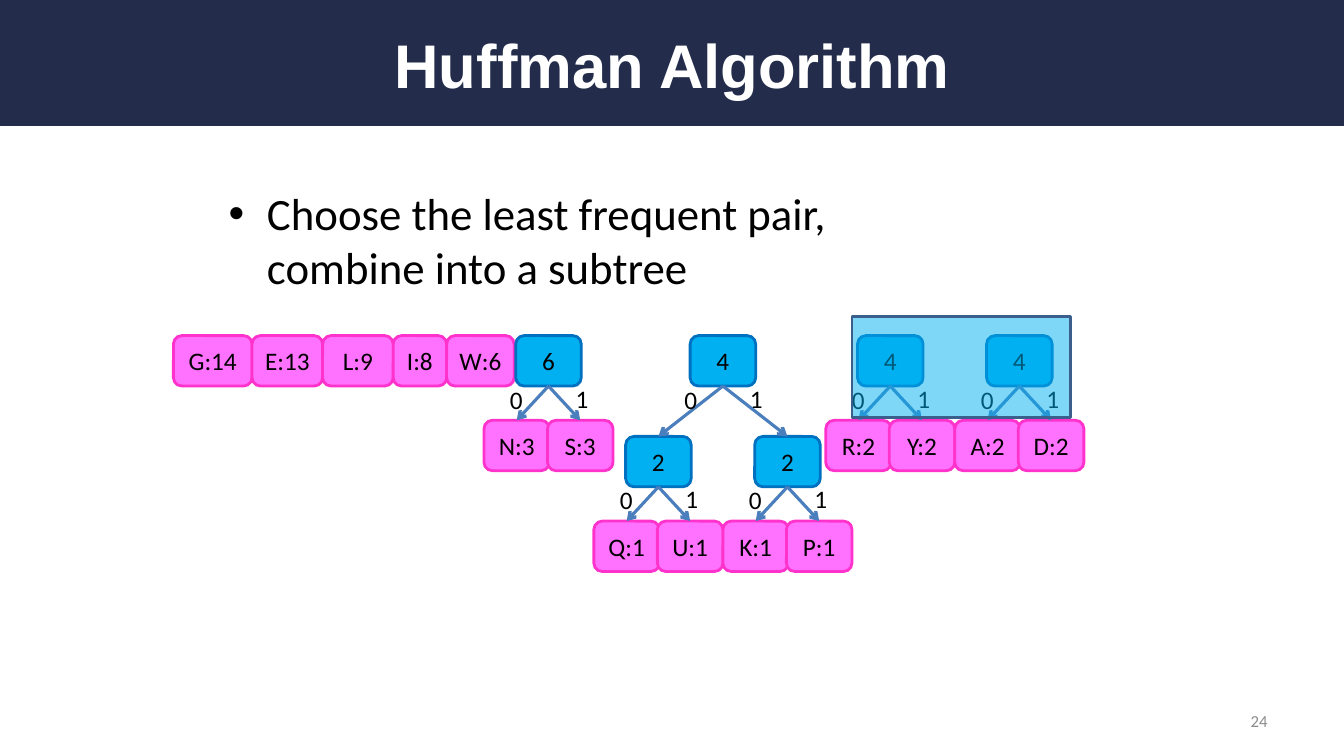
"""Build the Huffman Algorithm slide with its forest of subtrees."""
from lxml import etree
from pptx import Presentation
from pptx.dml.color import RGBColor
from pptx.enum.shapes import MSO_CONNECTOR as CONN, MSO_SHAPE as SHAPE
from pptx.enum.text import MSO_ANCHOR as ANCHOR, PP_ALIGN as ALIGN
from pptx.oxml.ns import qn
from pptx.util import Inches, Pt

TITLE = "Huffman Algorithm"
BULLET = "Choose the least frequent pair, combine into a subtree"
PAGE = "24"
SINGLES = [("G:14", 0.78), ("E:13", 0.7), ("L:9", 0.7), ("I:8", 0.53), ("W:6", 0.67)]
TREES = [
    (5.44, ("6", "N:3", "S:3")),
    (7.17, ("4", ("2", "Q:1", "U:1"), ("2", "K:1", "P:1"))),
    (8.83, ("4", "R:2", "Y:2")),
    (10.11, ("4", "A:2", "D:2")),
]
LEAF = ("FF71FF", "FF33CC")
INNER = ("00B0F0", "0070C0")
SINGLES_LEFT, ROW_TOP = 1.72, 3.33
NODE_W, NODE_H = 0.65, 0.5
LEAF_STEP = (0.315, 0.84)
TREE_STEP = (0.64, 1.0)
BIT_OFFSETS = [("0", -0.48, 0.43), ("1", 0.17, 0.42)]


def color(value):
    return RGBColor.from_string(value)


def add_box(kind, x, y, w, h, fill, line=None):
    sp = slide.shapes.add_shape(kind, Inches(x), Inches(y), Inches(w), Inches(h))
    sp.shadow.inherit = False
    sp.fill.solid()
    sp.fill.fore_color.rgb = color(fill)
    if line:
        sp.line.color.rgb = color(line)
        sp.line.width = Pt(2)
    else:
        sp.line.fill.background()
    return sp


def write(sp, text, size=18, align=ALIGN.LEFT, font="Calibri", rgb="000000",
          bold=False, wrap=True, anchor=ANCHOR.MIDDLE):
    tf = sp.text_frame
    tf.text = text
    tf.word_wrap = wrap
    tf.vertical_anchor = anchor
    p = tf.paragraphs[0]
    p.alignment = align
    f = p.runs[0].font
    f.size, f.name, f.bold = Pt(size), font, bold
    f.color.rgb = color(rgb)
    return p


def add_text(x, y, w, h, text, **style):
    sp = slide.shapes.add_textbox(Inches(x), Inches(y), Inches(w), Inches(h))
    return write(sp, text, **style)


def add_node(x, y, w, text, colors):
    sp = add_box(SHAPE.ROUNDED_RECTANGLE, x, y, w, NODE_H, *colors)
    tf = sp.text_frame
    tf.margin_left = tf.margin_right = 0
    write(sp, text, align=ALIGN.CENTER, wrap=False)
    return sp


def add_arrow(parent, child):
    cn = slide.shapes.add_connector(CONN.STRAIGHT, 0, 0, 0, 0)
    cn.begin_connect(parent, 2)
    cn.end_connect(child, 0)
    cn.line.color.rgb = color("4B7EBC")
    cn.line.width = Pt(2.25)
    etree.SubElement(cn.line._get_or_add_ln(), qn("a:tailEnd"), type="arrow")
    etree.SubElement(cn._element.spPr, qn("a:effectLst"))


def add_tree(cx, top, tree):
    left = cx - NODE_W / 2
    if isinstance(tree, str):
        return add_node(left, top, NODE_W, tree, LEAF)
    label, *branches = tree
    children = []
    for side, branch in zip((-1, 1), branches):
        dx, dy = LEAF_STEP if isinstance(branch, str) else TREE_STEP
        children.append(add_tree(cx + side * dx, top + dy, branch))
    root = add_node(left, top, NODE_W, label, INNER)
    for child in children:
        add_arrow(root, child)
    for bit, dx, dy in BIT_OFFSETS:
        add_text(cx + dx, top + dy, 0.33, 0.4, bit, wrap=False, anchor=ANCHOR.TOP)
    return root


prs = Presentation()
prs.slide_width, prs.slide_height = Inches(13.33), Inches(7.5)
slide = prs.slides.add_slide(prs.slide_layouts[6])

add_box(SHAPE.RECTANGLE, 0, 0, 13.33, 1.25, "232D4B")
add_text(0.67, 0.17, 12, 0.92, TITLE, size=44, align=ALIGN.CENTER,
         font="Arial", rgb="FFFFFF", bold=True)

p = add_text(2.17, 1.75, 7.4, 1.25, BULLET, size=32)
p.space_before = Pt(6.4)
pPr = p._p.get_or_add_pPr()
pPr.set("marL", str(Inches(0.38)))
pPr.set("indent", str(Inches(-0.38)))
etree.SubElement(pPr, qn("a:buFont"), typeface="Arial")
etree.SubElement(pPr, qn("a:buChar"), char="•")

add_text(9.56, 6.95, 3.11, 0.4, PAGE, size=12, align=ALIGN.RIGHT, rgb="8C8C8C")

x = SINGLES_LEFT
for label, width in SINGLES:
    add_node(x, ROW_TOP, width, label, LEAF)
    x += width

for center, tree in TREES:
    add_tree(center, ROW_TOP, tree)

highlight = add_box(SHAPE.RECTANGLE, 8.45, 3.14, 2.17, 1, "00B0F0", "3A5F8C")
fill_color = highlight._element.spPr.find(qn("a:solidFill"))[0]
etree.SubElement(fill_color, qn("a:alpha"), val="50000")

prs.save("out.pptx")
